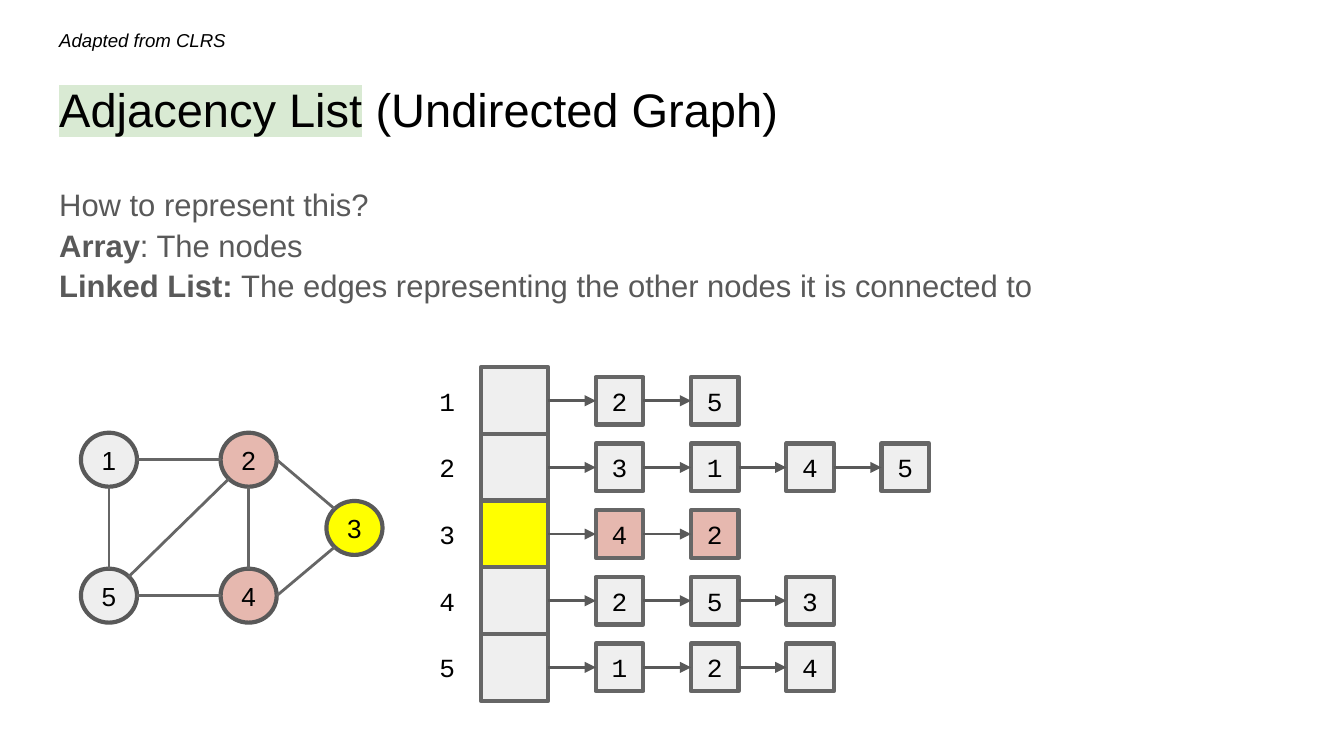
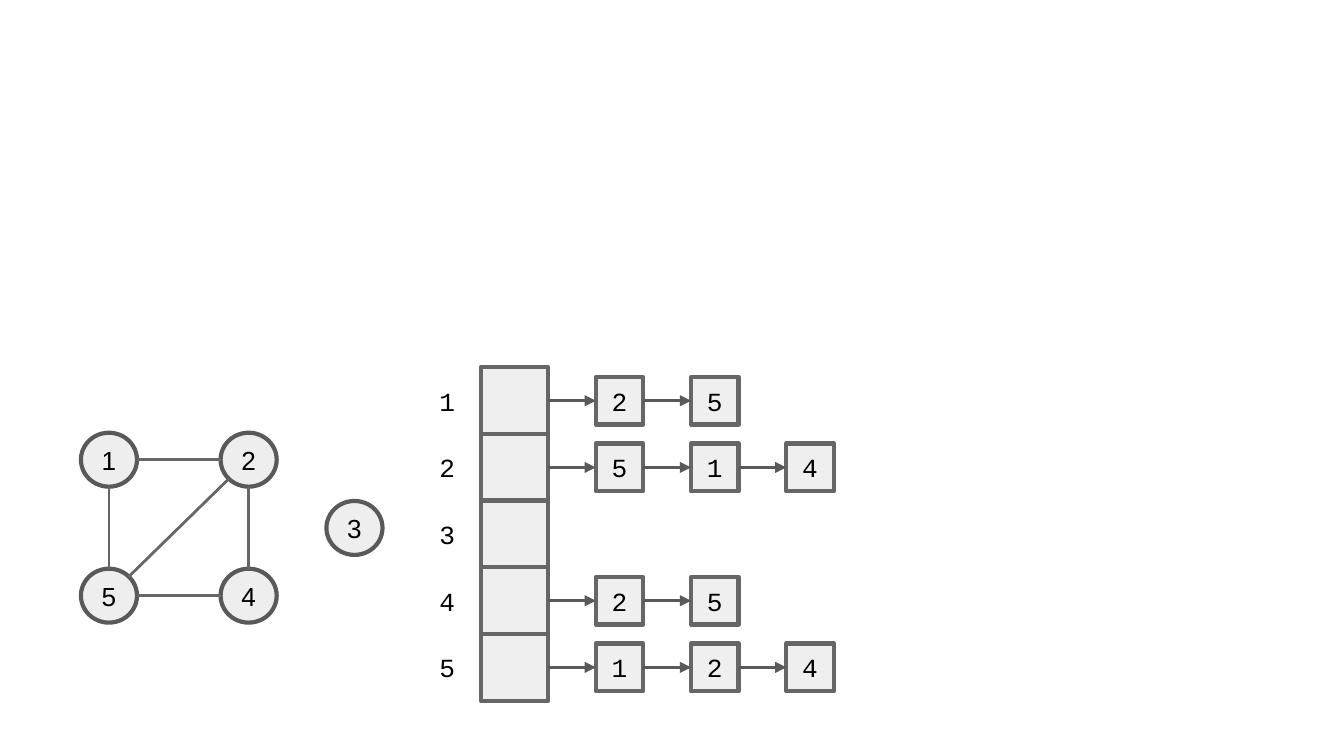
from math import cos, radians, sin

from lxml.etree import SubElement
from pptx import Presentation
from pptx.dml.color import RGBColor
from pptx.enum.shapes import MSO_CONNECTOR as Line, MSO_SHAPE as Shape
from pptx.enum.text import MSO_ANCHOR as Anchor, PP_ALIGN as Align
from pptx.oxml.ns import qn
from pptx.util import Cm, Pt

COLORS = {
    "text": "000000", "body": "595959", "mark": "D9EAD3",
    "node": "EEEEEE", "cell": "EFEFEF", "selected": "FFFF00", "neighbour": "E6B8AF",
    "dark": "595959", "grey": "666666",
}
SANS, MONO = "Arial", "Courier New"

SOURCE = "Adapted from CLRS"
TITLE = [("Adjacency List", True), (" (Undirected Graph)", False)]
BODY = [  # lines of (text, bold)
    [("How to represent this?", False)],
    [("Array", True), (": The nodes ", False)],
    [("Linked List: ", True),
     ("The edges representing the other nodes it is connected to", False)],
]

# Centre of each graph node, in cm
NODES = {1: (2.06, 8.69), 5: (2.06, 11.26), 2: (4.7, 8.69), 4: (4.7, 11.26), 3: (6.7, 9.98)}
NODE_W, NODE_H = 1.06, 1.02
# Side of a node where an edge touches it, as a clockwise angle
SIDES = {"E": 0, "S": 90, "SW": 135, "W": 180, "NW": 225, "N": 270, "NE": 315}
EDGES = [(1, "E", 2, "W"), (1, "S", 5, "N"), (2, "SW", 5, "NE"), (4, "W", 5, "E"),
         (2, "S", 4, "N"), (3, "SW", 4, "E"), (2, "E", 3, "NW")]

CONNECTED = {1: [2, 5], 2: [3, 1, 4, 5], 3: [4, 2], 4: [2, 5, 3], 5: [1, 2, 4]}
ISOLATED = {1: [2, 5], 2: [5, 1, 4], 3: [], 4: [2, 5], 5: [1, 2, 4]}

LABEL_X, LABEL_W = 7.83, 1.25
ARRAY_X, ARRAY_Y, ARRAY_CELL, ROW_STEP = 9.09, 6.94, 1.27, 1.26
ITEM = GAP = 0.9


def rgb(name):
    return RGBColor.from_string(COLORS[name])


def style(r, size, color="text", font=SANS, bold=False, italic=False):
    r.font.name, r.font.size = font, Pt(size)
    r.font.bold, r.font.italic = bold, italic
    r.font.color.rgb = rgb(color)


def highlight(r):
    rpr = r._r.get_or_add_rPr()
    mark = SubElement(rpr, qn("a:highlight"))
    SubElement(mark, qn("a:srgbClr"), val=COLORS["mark"])
    rpr.find(qn("a:solidFill")).addnext(mark)


def add_text_box(s, x, y, w, h, inset=0.25, anchor=Anchor.TOP):
    tf = s.shapes.add_textbox(Cm(x), Cm(y), Cm(w), Cm(h)).text_frame
    tf.word_wrap = True
    tf.vertical_anchor = anchor
    tf.margin_left = tf.margin_right = tf.margin_top = tf.margin_bottom = Cm(inset)
    return tf


def put_number(tf, number, font):
    tf.margin_left = tf.margin_right = tf.margin_top = tf.margin_bottom = 0
    tf.vertical_anchor = Anchor.MIDDLE
    p = tf.paragraphs[0]
    p.text = str(number)
    p.alignment = Align.CENTER
    style(p.runs[0], 14, font=font)


def add_block(s, kind, x, y, w, h, fill, line, number=None, font=MONO):
    sp = s.shapes.add_shape(kind, Cm(x), Cm(y), Cm(w), Cm(h))
    sp.shadow.inherit = False
    sp.fill.solid()
    sp.fill.fore_color.rgb = rgb(fill)
    sp.line.color.rgb = rgb(line)
    sp.line.width = Pt(2.25)
    if number is not None:
        put_number(sp.text_frame, number, font)
    return sp


def add_line(s, start=(0, 0), end=(0, 0), color="grey"):
    c = s.shapes.add_connector(Line.STRAIGHT, *map(Cm, (*start, *end)))
    c.line.color.rgb = rgb(color)
    c.line.width = Pt(1.5)
    SubElement(c._element.spPr, qn("a:effectLst"))
    return c


def add_arrow(s, left, right):
    c = add_line(s, color="dark")
    c.begin_connect(left, 3)
    c.end_connect(right, 1)
    SubElement(c._element.spPr.find(qn("a:ln")), qn("a:tailEnd"), type="triangle")


def node_side(node, side):
    (x, y), angle = NODES[node], radians(SIDES[side])
    return x + NODE_W / 2 * cos(angle), y + NODE_H / 2 * sin(angle)


def fill_for(node, lists, selected, plain):
    if node == selected:
        return "selected"
    return "neighbour" if node in lists.get(selected, []) else plain


def add_graph(s, lists, selected):
    for node, (x, y) in NODES.items():
        add_block(s, Shape.OVAL, x - NODE_W / 2, y - NODE_H / 2, NODE_W, NODE_H,
                  fill_for(node, lists, selected, "node"), "dark", node, SANS)
    for a, side_a, b, side_b in EDGES:
        if b in lists[a]:
            add_line(s, node_side(a, side_a), node_side(b, side_b))


def add_adjacency_list(s, lists, selected):
    for row, (node, neighbours) in enumerate(lists.items()):
        y = ARRAY_Y + row * ROW_STEP
        left = add_block(s, Shape.RECTANGLE, ARRAY_X, y, ARRAY_CELL, ARRAY_CELL,
                         "selected" if node == selected else "cell", "grey")
        put_number(add_text_box(s, LABEL_X, y, LABEL_W, ARRAY_CELL), node, MONO)
        fill = "neighbour" if node == selected else "cell"
        for i, neighbour in enumerate(neighbours):
            x = ARRAY_X + ARRAY_CELL + GAP + i * (ITEM + GAP)
            item = add_block(s, Shape.RECTANGLE, x, y + (ARRAY_CELL - ITEM) / 2,
                             ITEM, ITEM, fill, "grey", neighbour)
            add_arrow(s, left, item)
            left = item


def add_heading(s):
    p = add_text_box(s, 0.87, 1.24, 23.67, 1.6, anchor=Anchor.BOTTOM).paragraphs[0]
    for text, marked in TITLE:
        r = p.add_run()
        r.text = text
        style(r, 25.2)
        if marked:
            highlight(r)

    p = add_text_box(s, 0.87, 0.33, 3.84, 0.74).paragraphs[0]
    p.text = SOURCE
    style(p.runs[0], 10, italic=True)

    p = add_text_box(s, 0.87, 3.2, 23.67, 3.28).paragraphs[0]
    p.line_spacing = 1.09
    p.space_after = Pt(12)
    for i, line in enumerate(BODY):
        if i:
            p.add_line_break()
        for text, bold in line:
            r = p.add_run()
            r.text = text
            style(r, 16.6, "body", bold=bold)
    for br in p._p.findall(qn("a:br")):
        SubElement(br, qn("a:rPr"), sz="1660")


def add_slide(prs, lists, selected=None):
    s = prs.slides.add_slide(prs.slide_layouts[6])
    add_graph(s, lists, selected)
    add_adjacency_list(s, lists, selected)
    return s


def main():
    prs = Presentation()
    prs.slide_width, prs.slide_height = Cm(25.4), Cm(14.29)
    add_heading(add_slide(prs, CONNECTED, selected=3))
    add_slide(prs, ISOLATED)
    prs.save("out.pptx")


if __name__ == "__main__":
    main()
